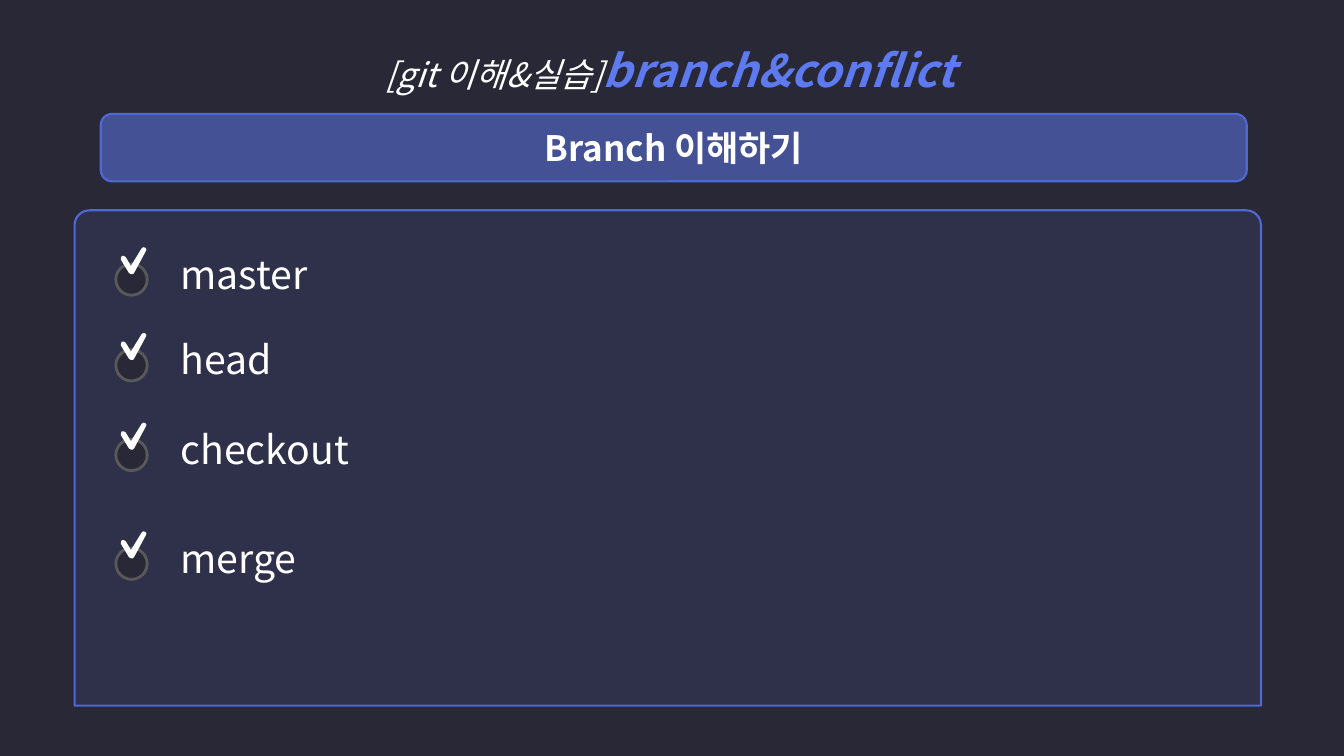
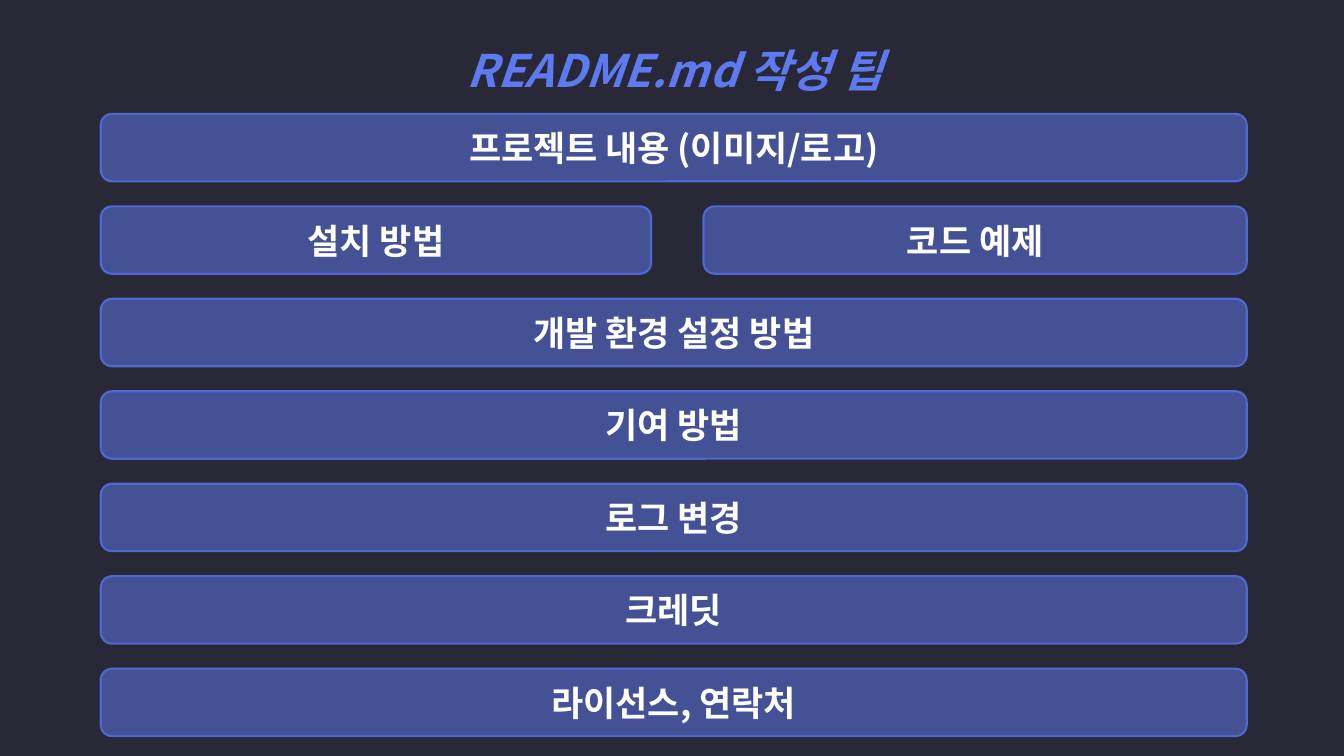
from pptx import Presentation
from pptx.dml.color import RGBColor
from pptx.enum.shapes import MSO_SHAPE as Preset
from pptx.enum.text import MSO_ANCHOR as Anchor, MSO_AUTO_SIZE as AutoSize, PP_ALIGN as Align
from pptx.oxml.ns import qn
from pptx.util import Cm, Emu, Pt
from lxml.etree import SubElement

COLORS = {
    "background": "292836",
    "accent": "607CF4",
    "border": "5068D3",
    "heading": "5E7AF1",
    "text": "FFFFFF",
    "ring": "595959",
}
FONT = "Noto Sans CJK KR"
TITLE_ONLY, TITLE_AND_BODY = 5, 1

BAR_LEFT, BAR_WIDTH, BAR_HEIGHT = 2.54, 28.88, 1.7
BAR_TOP, BAR_PITCH = 2.87, 2.33

ITEM_LINE = Pt(40)
RING_LEFT, RING_SIZE = 2.92, 0.79
# Outline of the check mark in tenths of a millimetre
CHECK_POINTS = [
    (69, 11), (74, 12), (77, 16), (76, 20), (46, 76), (43, 79), (38, 79), (33, 76),
    (13, 43), (13, 38), (15, 33), (20, 33), (25, 36), (38, 58), (65, 14),
]


def rgb(name):
    return RGBColor.from_string(COLORS[name])


class Deck:
    def __init__(self):
        self.presentation = Presentation()
        self.presentation.slide_width = Cm(33.87)
        self.presentation.slide_height = Cm(19.05)
        fill = self.presentation.slide_master.background.fill
        fill.solid()
        fill.fore_color.rgb = rgb("background")
        self.slide = None

    def new_slide(self, layout):
        layouts = self.presentation.slide_layouts
        self.slide = self.presentation.slides.add_slide(layouts[layout])

    def run(self, paragraph, text, size, color="text", bold=False, italic=False):
        run = paragraph.add_run()
        run.text = text
        font = run.font
        font.size, font.bold, font.italic = Pt(size), bold, italic
        font.color.rgb = rgb(color)
        font.name = FONT
        SubElement(run._r.get_or_add_rPr(), qn("a:ea"), typeface=FONT)

    def paint(self, shape, fill, line=None, width=1.5, opacity=None):
        shape.shadow.inherit = False
        shape.fill.solid()
        shape.fill.fore_color.rgb = rgb(fill)
        if opacity is not None:
            color = shape.fill._xPr.find(".//" + qn("a:srgbClr"))
            SubElement(color, qn("a:alpha"), val=str(opacity * 1000))
        if line:
            shape.line.color.rgb = rgb(line)
            shape.line.width = Pt(width)
        else:
            shape.line.fill.background()

    def shape(self, preset, left, top, width, height):
        return self.slide.shapes.add_shape(preset, Cm(left), Cm(top), Cm(width), Cm(height))

    def place(self, placeholder, left, top, width, height):
        """Move a placeholder and give it a top-aligned frame without insets."""
        placeholder.left, placeholder.top = Cm(left), Cm(top)
        placeholder.width, placeholder.height = Cm(width), Cm(height)
        frame = placeholder.text_frame
        frame.word_wrap = True
        frame.auto_size = AutoSize.NONE
        frame.vertical_anchor = Anchor.TOP
        frame.margin_left = frame.margin_right = frame.margin_top = frame.margin_bottom = 0
        return frame

    def title(self, heading, prefix=None, left=4.7):
        frame = self.place(self.slide.shapes.title, left, 0.75, 24.4, 1.7)
        paragraph = frame.paragraphs[0]
        paragraph.alignment = Align.CENTER
        paragraph.line_spacing = Pt(48)
        if prefix:
            self.run(paragraph, prefix, 24, italic=True)
        self.run(paragraph, heading, 32, "heading", bold=True, italic=True)

    def bar(self, text, row=0, left=BAR_LEFT, width=BAR_WIDTH):
        bar = self.shape(Preset.ROUNDED_RECTANGLE, left, BAR_TOP + row * BAR_PITCH,
                         width, BAR_HEIGHT)
        self.paint(bar, "accent", "border", opacity=50)
        bar.text_frame.vertical_anchor = Anchor.MIDDLE
        paragraph = bar.text_frame.paragraphs[0]
        paragraph.alignment = Align.CENTER
        self.run(paragraph, text, 25, bold=True)

    def panel(self, left, top, width, height):
        """Draw the translucent content panel behind everything else."""
        panel = self.shape(Preset.ROUND_2_SAME_RECTANGLE, left, top, width, height)
        panel.adjustments[0], panel.adjustments[1] = 0.03, 0
        self.paint(panel, "accent", "border", opacity=11)
        tree = panel._element.getparent()
        tree.insert(2, panel._element)

    def check(self, top):
        ring = self.shape(Preset.OVAL, RING_LEFT, top + 0.53, RING_SIZE, RING_SIZE)
        self.paint(ring, "background", "ring", width=2)
        start, *others = CHECK_POINTS
        builder = self.slide.shapes.build_freeform(*start, scale=Cm(0.01))
        builder.add_line_segments(others, close=True)
        self.paint(builder.convert_to_shape(Cm(RING_LEFT), Cm(top)), "text")

    def checklist(self, items):
        """Write (text, top) items as one list, with a check beside each."""
        first_top = items[0][1]
        frame = self.place(self.slide.placeholders[1], 4.55, first_top - 0.05, 25.7, 9)
        previous = None
        for text, top in items:
            paragraph = frame.paragraphs[0] if previous is None else frame.add_paragraph()
            properties = paragraph._p.get_or_add_pPr()
            properties.set("marL", "0")
            properties.set("indent", "0")
            SubElement(properties, qn("a:buNone"))
            paragraph.line_spacing = ITEM_LINE
            gap = 0 if previous is None else Cm(top - previous) - ITEM_LINE
            paragraph.space_before = Emu(gap)
            self.run(paragraph, text, 28)
            self.check(top)
            previous = top


def branch_slide(deck):
    deck.new_slide(TITLE_AND_BODY)
    deck.title("branch&conflict", prefix="[git 이해&실습]")
    deck.panel(1.88, 5.3, 29.9, 12.48)
    deck.bar("Branch 이해하기")
    deck.checklist([("master", 6.12), ("head", 8.28), ("checkout", 10.54), ("merge", 13.28)])


def readme_slide(deck):
    deck.new_slide(TITLE_ONLY)
    deck.title("README.md 작성 팁", left=4.8)
    full_rows = {
        0: "프로젝트 내용 (이미지/로고)",
        2: "개발 환경 설정 방법",
        3: "기여 방법",
        4: "로그 변경",
        5: "크레딧",
        6: "라이선스, 연락처",
    }
    for row, text in full_rows.items():
        deck.bar(text, row)
    deck.bar("설치 방법", 1, width=13.87)
    deck.bar("코드 예제", 1, left=17.73, width=13.69)


def main():
    deck = Deck()
    branch_slide(deck)
    readme_slide(deck)
    deck.presentation.save("out.pptx")


if __name__ == "__main__":
    main()
